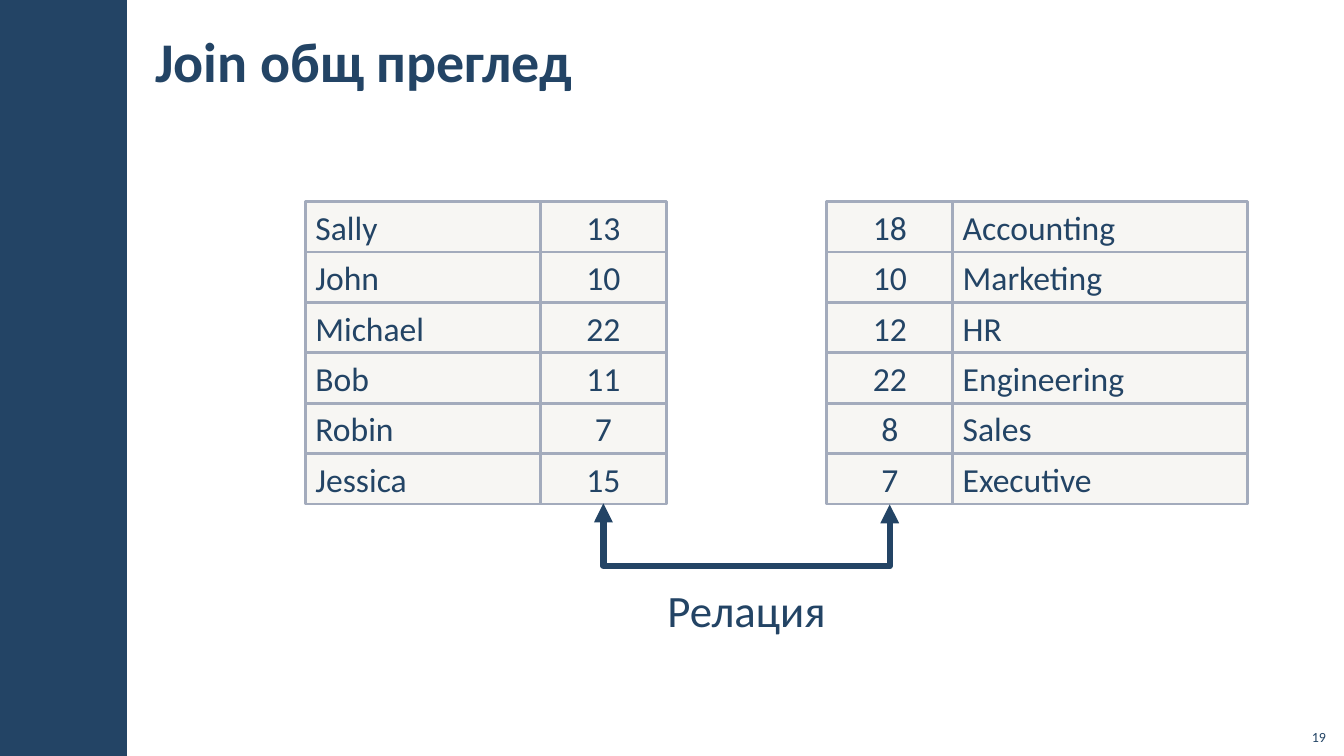
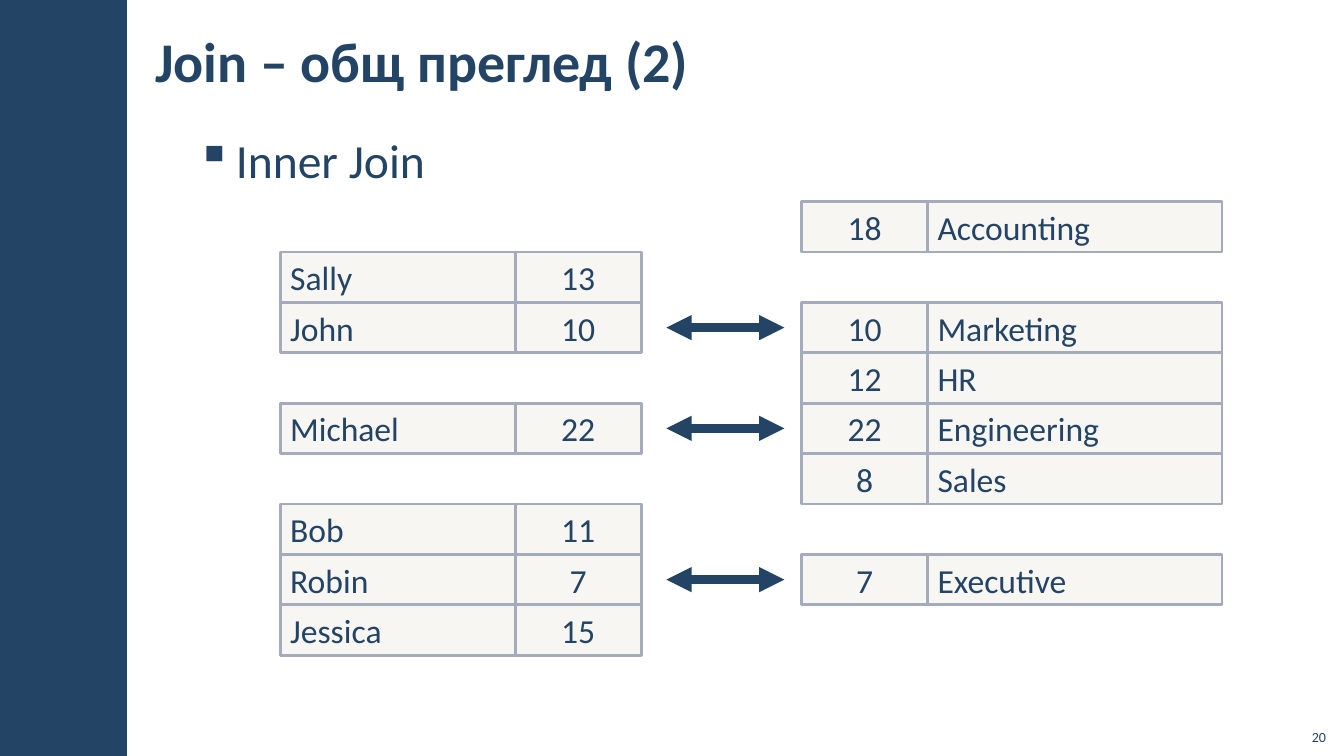
from pptx import Presentation, util as u
from pptx.dml.color import RGBColor
from pptx.enum import shapes, text
from pptx.oxml.ns import qn
from lxml import etree

NAVY, SAND, EDGE = "234465", "D9D5C7", "A3ABBC"
FONT = "Calibri"
LEFT, CENTER, RIGHT = text.PP_ALIGN.LEFT, text.PP_ALIGN.CENTER, text.PP_ALIGN.RIGHT

EMPLOYEES = [("Sally", "13"), ("John", "10"), ("Michael", "22"),
             ("Bob", "11"), ("Robin", "7"), ("Jessica", "15")]
DEPARTMENTS = [("18", "Accounting"), ("10", "Marketing"), ("12", "HR"),
               ("22", "Engineering"), ("8", "Sales"), ("7", "Executive")]
# Row slots that line up the matching keys of both tables
EMPLOYEE_SLOTS = [1, 2, 4, 6, 7, 8]
DEPARTMENT_SLOTS = [0, 2, 3, 4, 5, 7]

TOP, ROW_H = 2, 0.5
NAME_W, KEY_W, DEPT_W = 2.33, 1.25, 2.92
DEPT_OFFSET = 5.17


def rgb(color):
    return RGBColor.from_string(color)


def sub(parent, tag, **attrs):
    return etree.SubElement(parent, qn(tag), attrs)


def write(sp, words, size, align=LEFT, bold=False, anchor=text.MSO_ANCHOR.TOP,
          wrap=True, margins=(0.1, 0.05)):
    tf = sp.text_frame
    tf.word_wrap, tf.vertical_anchor = wrap, anchor
    tf.margin_left = tf.margin_right = u.Inches(margins[0])
    tf.margin_top = tf.margin_bottom = u.Inches(margins[1])
    p = tf.paragraphs[0]
    p.alignment = align
    r = p.add_run()
    r.text = words
    r.font.name, r.font.size, r.font.bold = FONT, u.Pt(size), bold
    r.font.color.rgb = rgb(NAVY)
    return p


def add_box(s, x, y, w, h, fill):
    sp = s.shapes.add_shape(shapes.MSO_SHAPE.RECTANGLE, *map(u.Inches, (x, y, w, h)))
    sp.shadow.inherit = False
    sp.fill.solid()
    sp.fill.fore_color.rgb = rgb(fill)
    sp.line.fill.background()
    return sp


def add_text(s, x, y, w, h, words, size, **style):
    box = s.shapes.add_textbox(*map(u.Inches, (x, y, w, h)))
    return write(box, words, size, **style)


def add_cell(s, x, y, w, words, align):
    sp = add_box(s, x, y, w, ROW_H, SAND)
    color = sp.fill._xPr.find(qn("a:solidFill"))[0]
    sub(color, "a:alpha", val="20000")
    sp.line.color.rgb, sp.line.width = rgb(EDGE), u.Pt(2)
    write(sp, words, 24, align, anchor=text.MSO_ANCHOR.MIDDLE)


def slot_y(slot):
    return TOP + slot * ROW_H


def add_tables(s, x, employee_slots, department_slots):
    """Draw both tables row by row, with the employees starting at x."""
    employees = (x, EMPLOYEES, employee_slots, (NAME_W, KEY_W), (LEFT, CENTER))
    departments = (x + DEPT_OFFSET, DEPARTMENTS, department_slots,
                   (KEY_W, DEPT_W), (CENTER, LEFT))
    for left, rows, slots, widths, aligns in (employees, departments):
        for row, slot in zip(rows, slots):
            cell_x = left
            for words, w, align in zip(row, widths, aligns):
                add_cell(s, cell_x, slot_y(slot), w, words, align)
                cell_x += w


def add_arrow(s, kind, x1, y1, x2, y2, width):
    """Draw a connector with a triangle at both ends."""
    c = s.shapes.add_connector(kind, *map(u.Inches, (x1, y1, x2, y2)))
    c.line.color.rgb, c.line.width = rgb(NAVY), u.Pt(width)
    ln = c.line._get_or_add_ln()
    for end in ("a:headEnd", "a:tailEnd"):
        sub(ln, end, type="triangle")
    sub(c._element.spPr, "a:effectLst")
    return c


def add_relation(s, x1, x2, y, drop):
    """Join two key columns with a U-shaped connector below them."""
    mid, span, thin = (x1 + x2) / 2, x2 - x1, 0.01
    c = add_arrow(s, shapes.MSO_CONNECTOR.ELBOW, mid - thin / 2, y - span / 2,
                  mid + thin / 2, y + span / 2, 4.5)
    xfrm = c._element.spPr.find(qn("a:xfrm"))
    xfrm.set("rot", str(270 * 60000))
    xfrm.set("flipH", "1")
    guides = c._element.spPr.find(qn("a:prstGeom")).find(qn("a:avLst"))
    sub(guides, "a:gd", name="adj1", fmla=f"val {round(drop / thin * 100000)}")
    add_text(s, mid - 0.9, 5.73, 1.8, 0.64, "Релация", 32, align=CENTER, wrap=False)


def add_bullet(s, words):
    p = add_text(s, 1.83, 1.23, 11.29, 6.07, words, 34, margins=(0.12, 0.04))
    p.line_spacing, p.space_before, p.space_after = 1.05, u.Pt(6), u.Pt(6)
    pPr = p._p.get_or_add_pPr()
    indent = u.Inches(0.39)
    pPr.set("marL", str(indent))
    pPr.set("indent", str(-indent))
    sub(pPr, "a:buChar", char="▪")


def add_slide(prs, title, number):
    s = prs.slides.add_slide(prs.slide_layouts[6])
    add_box(s, 0, 0, 1.26, 7.5, NAVY)
    add_text(s, 1.42, 0.11, 9.43, 0.97, title, 40, bold=True,
             anchor=text.MSO_ANCHOR.MIDDLE, margins=(0.12, 0.04))
    add_text(s, 12.85, 7.12, 0.4, 0.32, number, 10, align=RIGHT,
             anchor=text.MSO_ANCHOR.BOTTOM)
    return s


def overview_slide(prs):
    s = add_slide(prs, "Join общ преглед", "19")
    x = 3.03
    add_tables(s, x, range(6), range(6))
    add_relation(s, x + NAME_W + KEY_W / 2, x + DEPT_OFFSET + KEY_W / 2,
                 slot_y(6), 0.63)


def inner_join_slide(prs):
    s = add_slide(prs, "Join – общ преглед (2)", "20")
    add_bullet(s, "Inner Join")
    add_tables(s, 2.78, EMPLOYEE_SLOTS, DEPARTMENT_SLOTS)
    department_keys = {key for key, _ in DEPARTMENTS}
    for (_, key), slot in zip(EMPLOYEES, EMPLOYEE_SLOTS):
        if key in department_keys:
            y = slot_y(slot) + ROW_H / 2
            add_arrow(s, shapes.MSO_CONNECTOR.STRAIGHT, 6.61, y, 7.78, y, 6)


def main():
    prs = Presentation()
    prs.slide_width, prs.slide_height = u.Inches(13.33), u.Inches(7.5)
    overview_slide(prs)
    inner_join_slide(prs)
    prs.save("out.pptx")


if __name__ == "__main__":
    main()
